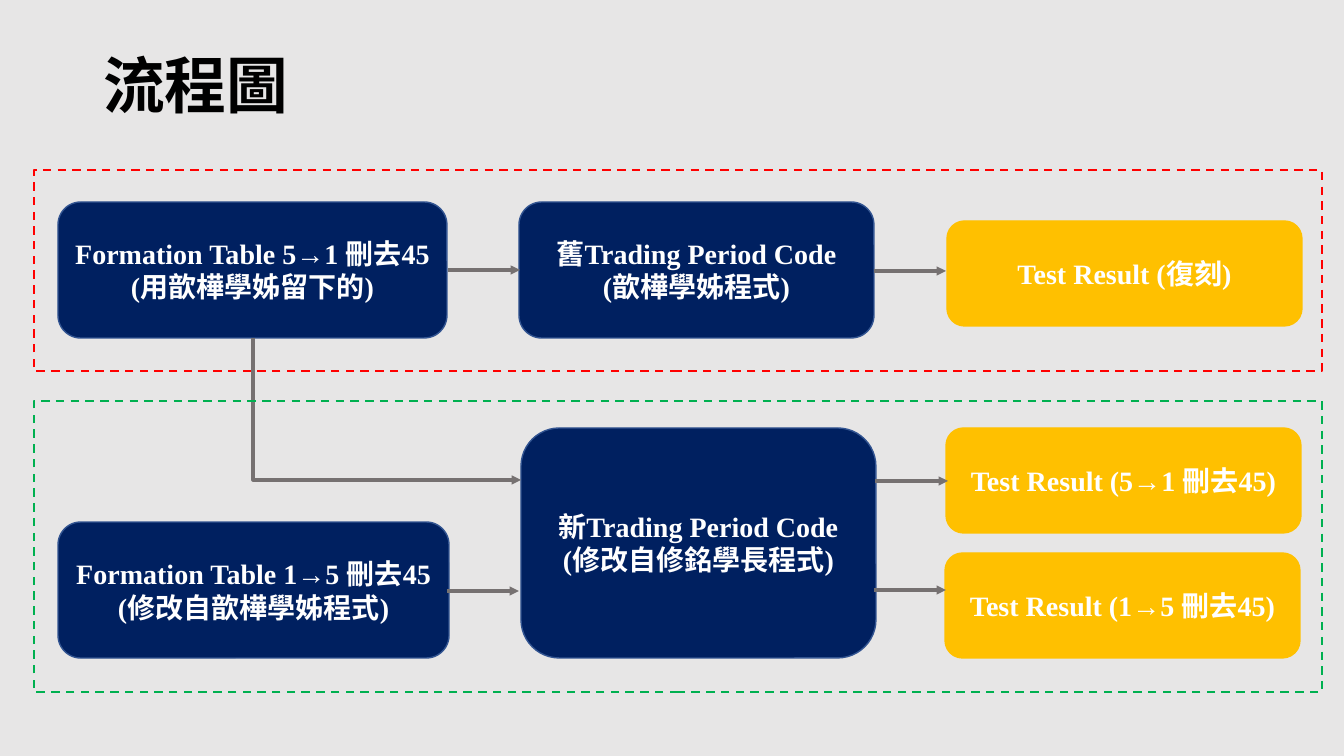
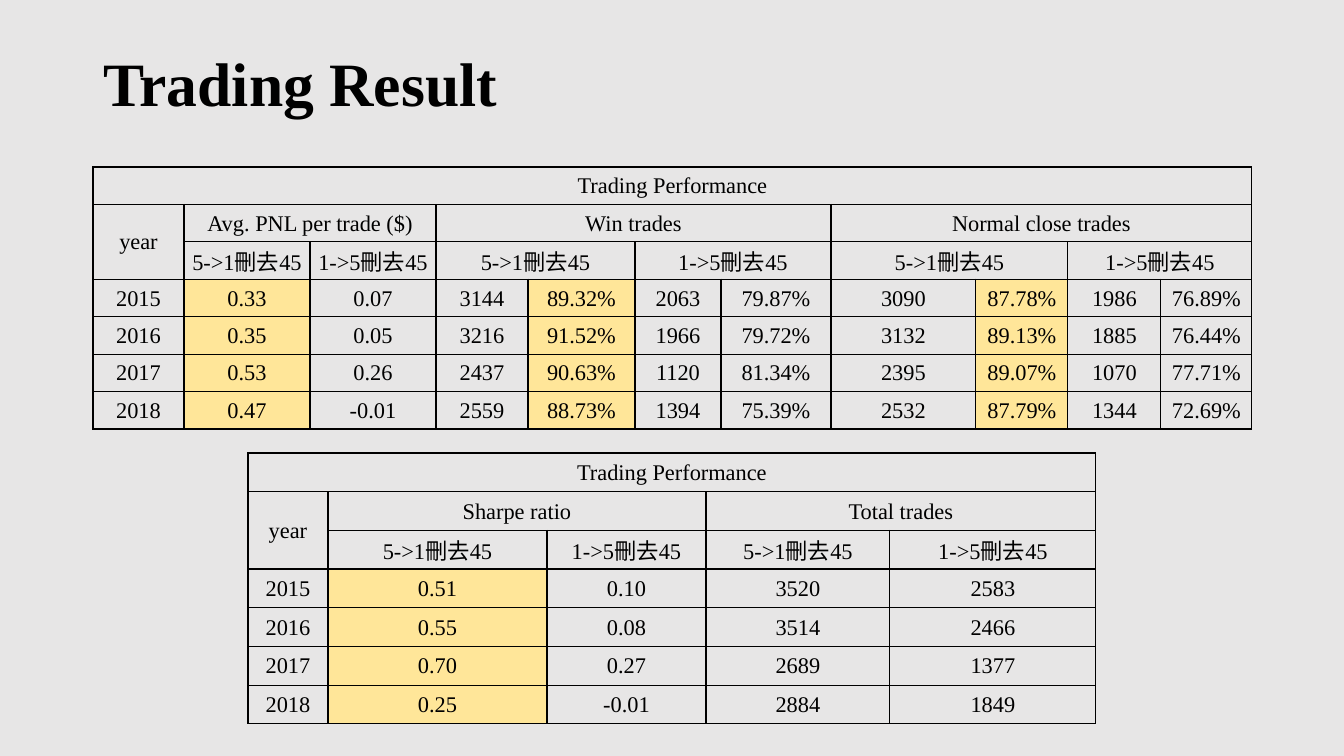
import pptx
import pptx.util
import pptx.dml.color
import pptx.enum.dml
import pptx.enum.shapes
import pptx.enum.text
import pptx.oxml.ns
from lxml import etree

SLIDE_WIDTH, SLIDE_HEIGHT = 1344, 756
EMU_PER_PX = 12192000 / SLIDE_WIDTH
LATIN_FONT = "Times New Roman"
CJK_FONT = "Noto Sans CJK SC"
COLORS = {
    "background": "E7E6E6",
    "black": "000000",
    "white": "FFFFFF",
    "navy": "002060",
    "navy_edge": "325491",
    "gold": "FFC000",
    "arrow": "767171",
    "red": "FF0000",
    "green": "00B050",
    "highlight": "FFE699",
}
RGB = {name: pptx.dml.color.RGBColor.from_string(value) for name, value in COLORS.items()}
ALIGN = pptx.enum.text.PP_ALIGN
ANCHOR = pptx.enum.text.MSO_ANCHOR
SHAPE = pptx.enum.shapes.MSO_SHAPE
CONNECTOR = pptx.enum.shapes.MSO_CONNECTOR
qn = pptx.oxml.ns.qn


def px(value):
    return round(value * EMU_PER_PX)


def style_text(text_frame, size, color, bold, alignment, font=LATIN_FONT):
    for paragraph in text_frame.paragraphs:
        paragraph.alignment = alignment
        paragraph.font.name = font
        paragraph.font.size = pptx.util.Pt(size)
        paragraph.font.bold = bold
        paragraph.font.color.rgb = RGB[color]
        latin = paragraph.font._element.find(qn("a:latin"))
        east_asian = etree.Element(qn("a:ea"), typeface=CJK_FONT)
        latin.addnext(east_asian)


presentation = pptx.Presentation()
presentation.slide_width = px(SLIDE_WIDTH)
presentation.slide_height = px(SLIDE_HEIGHT)
background = presentation.slide_master.background.fill
background.solid()
background.fore_color.rgb = RGB["background"]

slides = []
for title_text, title_font, title_top in [
    ("流程圖", CJK_FONT, 16),
    ("Trading Result", LATIN_FONT, 14),
]:
    slide = presentation.slides.add_slide(presentation.slide_layouts[5])
    title = slide.shapes.title
    title.left, title.top, title.width, title.height = px(93), px(title_top), px(1159), px(146)
    title.text_frame.text = title_text
    title.text_frame.vertical_anchor = ANCHOR.MIDDLE
    title.text_frame.paragraphs[0].line_spacing = 0.9
    style_text(title.text_frame, 44, "black", True, ALIGN.LEFT, title_font)
    slides.append(slide)
flow_slide, result_slide = slides

boxes = [
    (58, 202, 389, 136, "navy", "navy_edge", "Formation Table 5→1 刪去45\n(用歆樺學姊留下的)"),
    (58, 522, 391, 136, "navy", "navy_edge", "Formation Table 1→5 刪去45\n(修改自歆樺學姊程式)"),
    (519, 202, 355, 136, "navy", "navy_edge", "舊Trading Period Code\n(歆樺學姊程式)"),
    (521, 428, 355, 230, "navy", "navy_edge", "新Trading Period Code\n(修改自修銘學長程式)"),
    (947, 221, 355, 105, "gold", "gold", "Test Result (復刻)"),
    (946, 428, 355, 105, "gold", "gold", "Test Result (5→1 刪去45)"),
    (945, 553, 355, 105, "gold", "gold", "Test Result (1→5 刪去45)"),
]
for left, top, width, height, fill, edge, text in boxes:
    box = flow_slide.shapes.add_shape(
        SHAPE.ROUNDED_RECTANGLE, px(left), px(top), px(width), px(height)
    )
    box.shadow.inherit = False
    box.fill.solid()
    box.fill.fore_color.rgb = RGB[fill]
    box.line.color.rgb = RGB[edge]
    box.line.width = pptx.util.Pt(1)
    box.text_frame.text = text
    box.text_frame.word_wrap = True
    box.text_frame.vertical_anchor = ANCHOR.MIDDLE
    style_text(box.text_frame, 20, "white", True, ALIGN.CENTER)

arrows = [
    (CONNECTOR.STRAIGHT, 448, 270, 520, 270),
    (CONNECTOR.STRAIGHT, 874, 271, 946, 271),
    (CONNECTOR.STRAIGHT, 447, 591, 519, 591),
    (CONNECTOR.STRAIGHT, 875, 481, 948, 481),
    (CONNECTOR.STRAIGHT, 874, 590, 946, 590),
    (CONNECTOR.ELBOW, 458, 275, 316, 543),
]
for kind, begin_x, begin_y, end_x, end_y in arrows:
    arrow = flow_slide.shapes.add_connector(kind, px(begin_x), px(begin_y), px(end_x), px(end_y))
    arrow.line.color.rgb = RGB["arrow"]
    arrow.line.width = pptx.util.Pt(2.25)
    etree.SubElement(arrow.line._get_or_add_ln(), qn("a:tailEnd"), type="triangle")
    properties = arrow._element.spPr
    etree.SubElement(properties, qn("a:effectLst"))
    if kind == CONNECTOR.ELBOW:
        properties.find(qn("a:xfrm")).set("rot", "16200000")
        properties.find(qn("a:prstGeom")).set("prst", "bentConnector2")

for top, height, color in [(170, 201, "red"), (401, 291, "green")]:
    frame = flow_slide.shapes.add_shape(SHAPE.RECTANGLE, px(34), px(top), px(1288), px(height))
    frame.shadow.inherit = False
    frame.fill.background()
    frame.line.color.rgb = RGB[color]
    frame.line.width = pptx.util.Pt(1.5)
    frame.line.dash_style = pptx.enum.dml.MSO_LINE.DASH

tables = [
    {
        "at": (93, 167, 262),
        "columns": [91, 126, 126, 92, 107, 86, 110, 145, 92, 93, 91],
        "groups": [("Avg. PNL per trade ($)", 1), ("Win trades", 2), ("Normal close trades", 2)],
        "highlighted": {1, 4, 8},
        "rows": [
            "2015 0.33 0.07 3144 89.32% 2063 79.87% 3090 87.78% 1986 76.89%",
            "2016 0.35 0.05 3216 91.52% 1966 79.72% 3132 89.13% 1885 76.44%",
            "2017 0.53 0.26 2437 90.63% 1120 81.34% 2395 89.07% 1070 77.71%",
            "2018 0.47 -0.01 2559 88.73% 1394 75.39% 2532 87.79% 1344 72.69%",
        ],
    },
    {
        "at": (248, 453, 271),
        "columns": [80, 219, 159, 184, 206],
        "groups": [("Sharpe ratio", 1), ("Total trades", 1)],
        "highlighted": {1},
        "rows": [
            "2015 0.51 0.10 3520 2583",
            "2016 0.55 0.08 3514 2466",
            "2017 0.70 0.27 2689 1377",
            "2018 0.25 -0.01 2884 1849",
        ],
    },
]
HEADER_ROWS = 3
for content in tables:
    left, top, height = content["at"]
    widths = content["columns"]
    row_count = HEADER_ROWS + len(content["rows"])
    table = result_slide.shapes.add_table(
        row_count, len(widths), px(left), px(top), px(sum(widths)), px(height)
    ).table
    table.first_row = False
    table.horz_banding = False
    for column, width in zip(table.columns, widths):
        column.width = px(width)
    for row in table.rows:
        row.height = px(height / row_count)

    headers = [
        (0, 0, 1, len(widths), "Trading Performance"),
        (1, 0, 2, 1, "year"),
    ]
    first = 1
    for group, span in content["groups"]:
        headers.append((1, first, 1, 2 * span, group))
        for label in ("5->1刪去45", "1->5刪去45"):
            headers.append((2, first, 1, span, label))
            first += span
    for row_index, column_index, row_span, column_span, text in headers:
        cell = table.cell(row_index, column_index)
        cell.text = text
        if row_span * column_span > 1:
            cell.merge(table.cell(row_index + row_span - 1, column_index + column_span - 1))
    for row_index, line in enumerate(content["rows"], HEADER_ROWS):
        for column_index, value in enumerate(line.split()):
            table.cell(row_index, column_index).text = value

    for row_index in range(row_count):
        for column_index in range(len(widths)):
            cell = table.cell(row_index, column_index)
            cell.vertical_anchor = ANCHOR.MIDDLE
            cell.margin_left = cell.margin_right = cell.margin_top = px(1)
            cell.margin_bottom = 0
            if row_index >= HEADER_ROWS and column_index in content["highlighted"]:
                cell.fill.solid()
                cell.fill.fore_color.rgb = RGB["highlight"]
            else:
                cell.fill.background()
            style_text(cell.text_frame, 16, "black", False, ALIGN.CENTER)
            cell_properties = cell._tc.get_or_add_tcPr()
            for position, side in enumerate(("lnL", "lnR", "lnT", "lnB")):
                border = etree.Element(qn("a:" + side), w=str(pptx.util.Pt(1)))
                border_fill = etree.SubElement(border, qn("a:solidFill"))
                etree.SubElement(border_fill, qn("a:srgbClr"), val=COLORS["black"])
                cell_properties.insert(position, border)

presentation.save("out.pptx")
